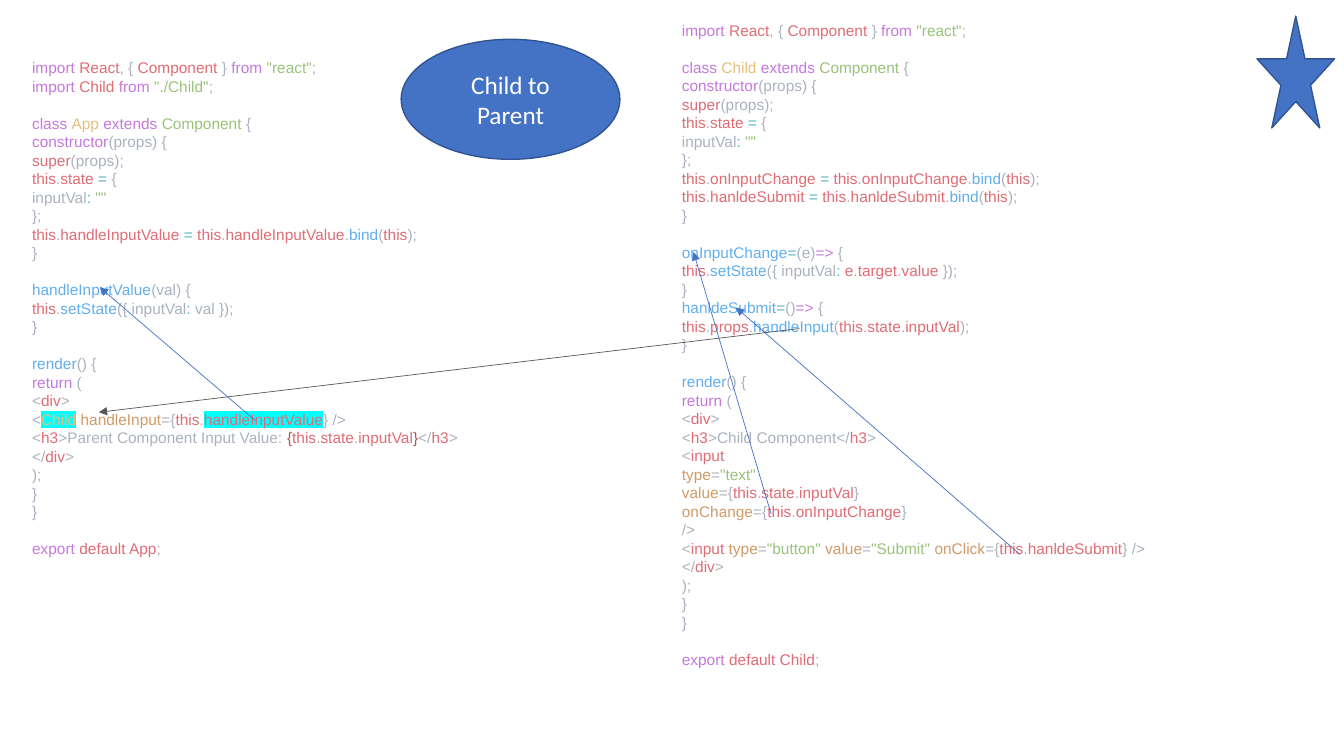
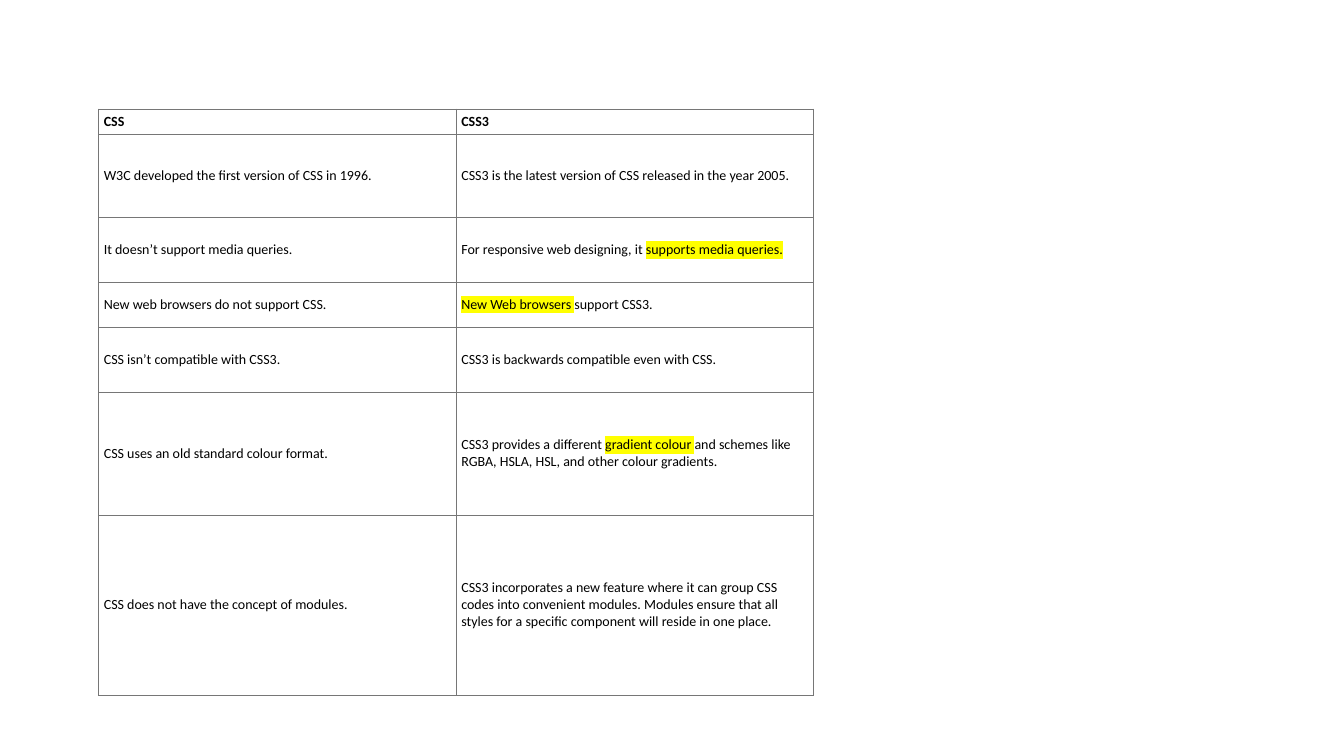
from dataclasses import dataclass
from typing import Iterator, Optional

from lxml import etree
from pptx import Presentation
from pptx import util as u
from pptx.dml.color import RGBColor
from pptx.enum import shapes, text
from pptx.oxml import ns

COLUMNS, ROWS = 40, 30
SLIDE_WIDTH, SLIDE_HEIGHT = u.Inches(13.33), u.Inches(7.5)
BLANK_LAYOUT = 6

WHITE, BLACK = "FFFFFF", "000000"
BLUE, DARK_BLUE, DARK_GREY, BORDER_GREY = "4472C4", "325491", "595959", "767676"
CODE_GREY = "ABB2BF"
CODE_PITCH = 13.2


@dataclass(frozen=True)
class Style:
    colour: Optional[str] = None
    highlight: Optional[str] = None


@dataclass(frozen=True)
class Box:
    """A rectangle in grid columns and rows."""
    left: float
    top: float
    width: float
    height: float

    def lengths(self) -> tuple:
        return across(self.left), down(self.top), across(self.width), down(self.height)


@dataclass(frozen=True)
class Arrow:
    start: tuple[float, float]
    end: tuple[float, float]
    colour: str = BLUE


@dataclass(frozen=True)
class Listing:
    box: Box
    sections: tuple[str, ...]


STYLES = {
    "key": Style("C678DD"),
    "id": Style("E06C75"),
    "id!": Style("E06C75", "00FFFF"),
    "str": Style("98C379"),
    "cls": Style("E5C07B"),
    "cls!": Style("E5C07B", "00FFFF"),
    "op": Style("56B6C2"),
    "fn": Style("61AFEF"),
    "attr": Style("D19A66"),
    "brace": Style("BE5046"),
    "mark": Style(highlight="FFFF00"),
}

PARENT_SECTIONS = (
    """
[key|import ][id|React], { [id|Component ]} [key|from ][str|"react"];
[key|import ][id|Child ][key|from ][str|"./Child"];
""",
    """
[key|class ][cls|App ][key|extends ][str|Component] {
[key|constructor](props) {
[id|super](props);
[id|this].[id|state ][op|=] {
inputVal[op|: ][str|""]
};
[id|this].[id|handleInputValue ][op|= ][id|this].[id|handleInputValue].[fn|bind]([id|this]);
}
""",
    """
[fn|handleInputValue](val) {
[id|this].[fn|setState]({ inputVal[op|: ]val });
}
""",
    """
[fn|render]() {
[key|return] (
<[id|div]>
<[cls!|Child] [attr|handleInput]={[id|this].[id!|handleInputValue]} />
<[id|h3]>Parent Component Input Value: [brace|{][id|this].[id|state].[id|inputVal][brace|}]</[id|h3]>
</[id|div]>
);
}
}
""",
    "[key|export ][id|default App];",
)

CHILD_SECTIONS = (
    '[key|import ][id|React], { [id|Component ]} [key|from ][str|"react"];',
    """
[key|class ][cls|Child ][key|extends ][str|Component] {
[key|constructor](props) {
[id|super](props);
[id|this].[id|state ][op|=] {
inputVal[op|: ][str|""]
};
[id|this].[id|onInputChange ][op|= ][id|this].[id|onInputChange].[fn|bind]([id|this]);
[id|this].[id|hanldeSubmit ][op|= ][id|this].[id|hanldeSubmit].[fn|bind]([id|this]);
}
""",
    """
[fn|onInputChange][op|=](e)[key|=>] {
[id|this].[fn|setState]({ inputVal[op|: ][id|e].[id|target].[id|value] });
}
[fn|hanldeSubmit][op|=]()[key|=>] {
[id|this].[id|props].[fn|handleInput]([id|this].[id|state].[id|inputVal]);
}
""",
    """
[fn|render]() {
[key|return] (
<[id|div]>
<[id|h3]>Child Component</[id|h3]>
<[id|input]
[attr|type]=[str|"text"]
[attr|value]={[id|this].[id|state].[id|inputVal]}
[attr|onChange]={[id|this].[id|onInputChange]}
/>
<[id|input ][attr|type]=[str|"button" ][attr|value]=[str|"Submit" ][attr|onClick]={[id|this].[id|hanldeSubmit]} />
</[id|div]>
);
}
}
""",
    "[key|export ][id|default Child];",
)

LISTINGS = [
    Listing(Box(0.66, 2.12, 17.79, 22.84), PARENT_SECTIONS),
    Listing(Box(20, 0.64, 19.32, 28.76), CHILD_SECTIONS),
]

ARROWS = [
    Arrow((30.36, 22), (21.9, 12.2)),
    Arrow((22.95, 20.4), (20.64, 10)),
    Arrow((23.79, 13.04), (2.94, 16.36), DARK_GREY),
    Arrow((7.59, 16.68), (2.97, 11.4)),
]

COMPARISON_ROWS = [
    (1, "CSS", "CSS3"),
    (3.32, "W3C developed the first version of CSS in 1996.",
     "CSS3 is the latest version of CSS released in the year 2005."),
    (2.56, "It doesn’t support media queries.",
     "For responsive web designing, it [mark|supports media queries.]"),
    (1.8, "New web browsers do not support CSS.", "[mark|New Web browsers ]support CSS3."),
    (2.56, "CSS isn’t compatible with CSS3.", "CSS3 is backwards compatible even with CSS."),
    (4.88, "CSS uses an old standard colour format.",
     "CSS3 provides a different [mark|gradient colour ]and schemes like RGBA, HSLA, HSL, "
     "and other colour gradients."),
    (7.16, "CSS does not have the concept of modules.",
     "CSS3 incorporates a new feature where it can group CSS codes into convenient modules. "
     "Modules ensure that all styles for a specific component will reside in one place."),
]


def across(columns: float) -> int:
    return round(SLIDE_WIDTH * columns / COLUMNS)


def down(rows: float) -> int:
    return round(SLIDE_HEIGHT * rows / ROWS)


def colour_of(value: str) -> RGBColor:
    return RGBColor.from_string(value)


def add_element(parent, tag: str, **attributes: str):
    return etree.SubElement(parent, ns.qn(tag), attributes)


def add_colour(parent, tag: str, colour: str) -> None:
    add_element(add_element(parent, tag), "a:srgbClr", val=colour)


def styled_pieces(line: str) -> Iterator[tuple[str, Style]]:
    """Split a line such as 'plain [style|text] plain' into its pieces."""
    for index, chunk in enumerate(line.split("[")):
        if index:
            tagged, _, chunk = chunk.partition("]")
            name, _, words = tagged.partition("|")
            yield words, STYLES[name]
        if chunk:
            yield chunk, Style()


def write_text(frame, *sections: str, size: float, font: str, colour: str, bold: bool = False,
               align=text.PP_ALIGN.LEFT, pitch: Optional[float] = None) -> None:
    """Write one paragraph a line, with a line's space between sections."""
    frame.word_wrap = True
    paragraph = None
    for section in sections:
        for index, line in enumerate(section.strip().split("\n")):
            starts_later_section = paragraph is not None and index == 0
            paragraph = frame.add_paragraph() if paragraph is not None else frame.paragraphs[0]
            paragraph.alignment = align
            if pitch:
                paragraph.line_spacing = u.Pt(pitch)
                paragraph.space_before = u.Pt(pitch if starts_later_section else 0)
            for words, style in styled_pieces(line):
                run = paragraph.add_run()
                run.text = words
                run.font.size, run.font.bold = u.Pt(size), bold
                run.font.color.rgb = colour_of(style.colour or colour)
                if style.highlight:
                    add_colour(run.font._element, "a:highlight", style.highlight)
                run.font.name = font


def add_listing(slide, listing: Listing) -> None:
    frame = slide.shapes.add_textbox(*listing.box.lengths()).text_frame
    write_text(frame, *listing.sections, size=11, font="Arial", colour=CODE_GREY,
               pitch=CODE_PITCH)


def add_arrow(slide, arrow: Arrow) -> None:
    (start_x, start_y), (end_x, end_y) = arrow.start, arrow.end
    connector = slide.shapes.add_connector(
        shapes.MSO_CONNECTOR.STRAIGHT,
        across(start_x), down(start_y), across(end_x), down(end_y))
    connector.line.color.rgb = colour_of(arrow.colour)
    connector.line.width = u.Pt(0.5)
    add_element(connector.line._get_or_add_ln(), "a:tailEnd", type="triangle")
    add_element(connector._element.spPr, "a:effectLst")


def add_blue_shape(slide, kind, box: Box):
    shape = slide.shapes.add_shape(kind, *box.lengths())
    shape.shadow.inherit = False
    shape.fill.solid()
    shape.fill.fore_color.rgb = colour_of(BLUE)
    shape.line.color.rgb = colour_of(DARK_BLUE)
    shape.line.width = u.Pt(1)
    return shape


def fill_cell(cell, content: str, bold: bool) -> None:
    cell.margin_left = cell.margin_right = u.Inches(0.05)
    cell.margin_top = cell.margin_bottom = u.Inches(0.03)
    cell.vertical_anchor = text.MSO_ANCHOR.MIDDLE
    write_text(cell.text_frame, content, size=10, font="Calibri", colour=BLACK, bold=bold)
    properties = cell._tc.get_or_add_tcPr()
    for side in ("a:lnL", "a:lnR", "a:lnT", "a:lnB"):
        border = add_element(properties, side, w=str(u.Pt(0.5)))
        add_colour(border, "a:solidFill", BORDER_GREY)
    cell.fill.solid()
    cell.fill.fore_color.rgb = colour_of(WHITE)


def add_code_slide(presentation) -> None:
    slide = presentation.slides.add_slide(presentation.slide_layouts[BLANK_LAYOUT])
    for listing in LISTINGS:
        add_listing(slide, listing)
    for arrow in ARROWS:
        add_arrow(slide, arrow)
    title = add_blue_shape(slide, shapes.MSO_SHAPE.OVAL, Box(11.94, 1.56, 6.51, 4.76))
    title.text_frame.vertical_anchor = text.MSO_ANCHOR.MIDDLE
    write_text(title.text_frame, "Child to Parent", size=18, font="Calibri", colour=WHITE,
               align=text.PP_ALIGN.CENTER)
    add_blue_shape(slide, shapes.MSO_SHAPE.STAR_5_POINT, Box(37.41, 0.64, 2.31, 4.44))


def add_comparison_slide(presentation) -> None:
    slide = presentation.slides.add_slide(presentation.slide_layouts[BLANK_LAYOUT])
    box = Box(2.94, 4.32, 21.28, sum(row[0] for row in COMPARISON_ROWS))
    table = slide.shapes.add_table(len(COMPARISON_ROWS), 2, *box.lengths()).table
    table.first_row = table.horz_banding = False
    for row_index, (height, *contents) in enumerate(COMPARISON_ROWS):
        table.rows[row_index].height = down(height)
        for column_index, content in enumerate(contents):
            fill_cell(table.cell(row_index, column_index), content, bold=row_index == 0)


def main() -> None:
    presentation = Presentation()
    presentation.slide_width, presentation.slide_height = SLIDE_WIDTH, SLIDE_HEIGHT
    add_code_slide(presentation)
    add_comparison_slide(presentation)
    presentation.save("out.pptx")


if __name__ == "__main__":
    main()
